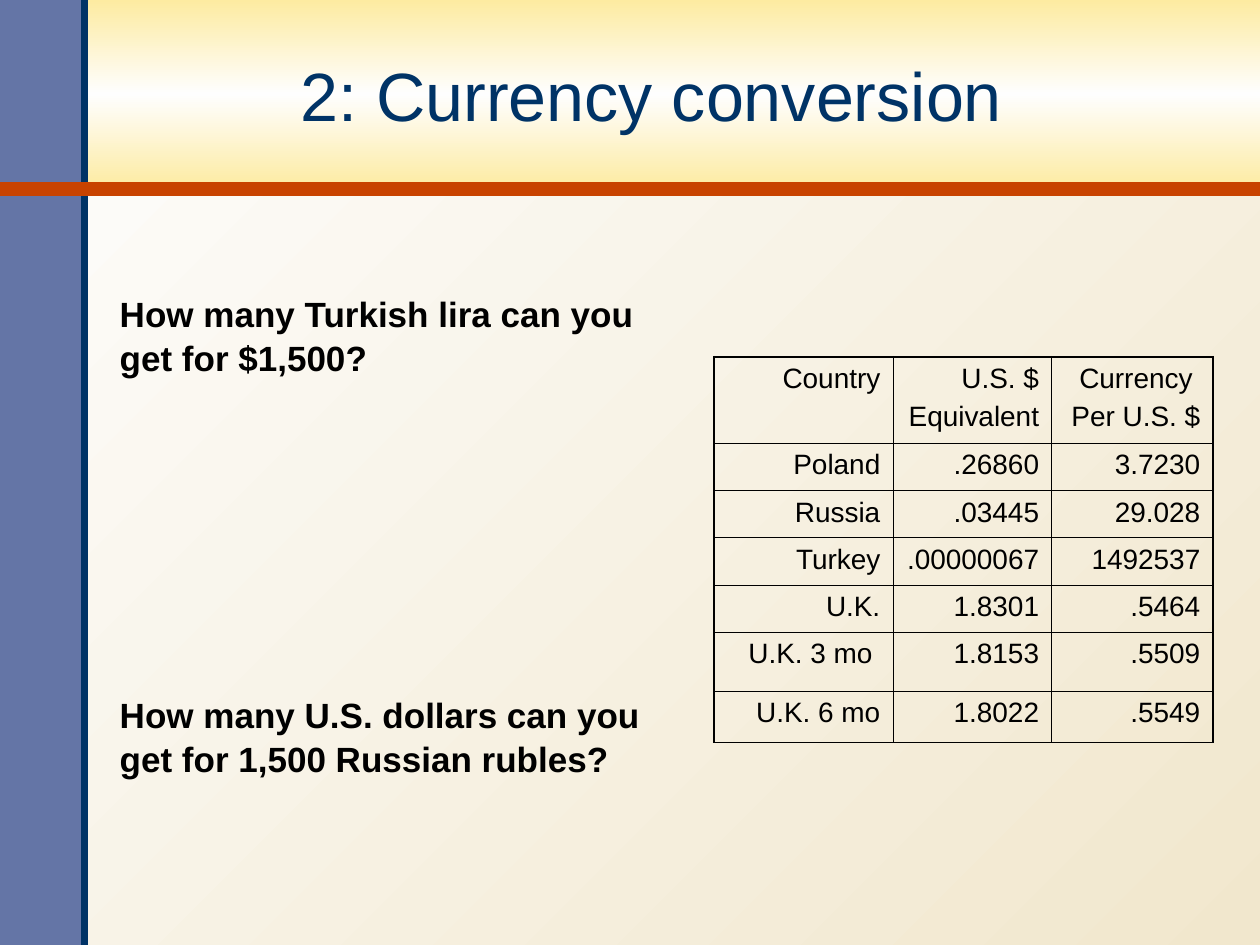
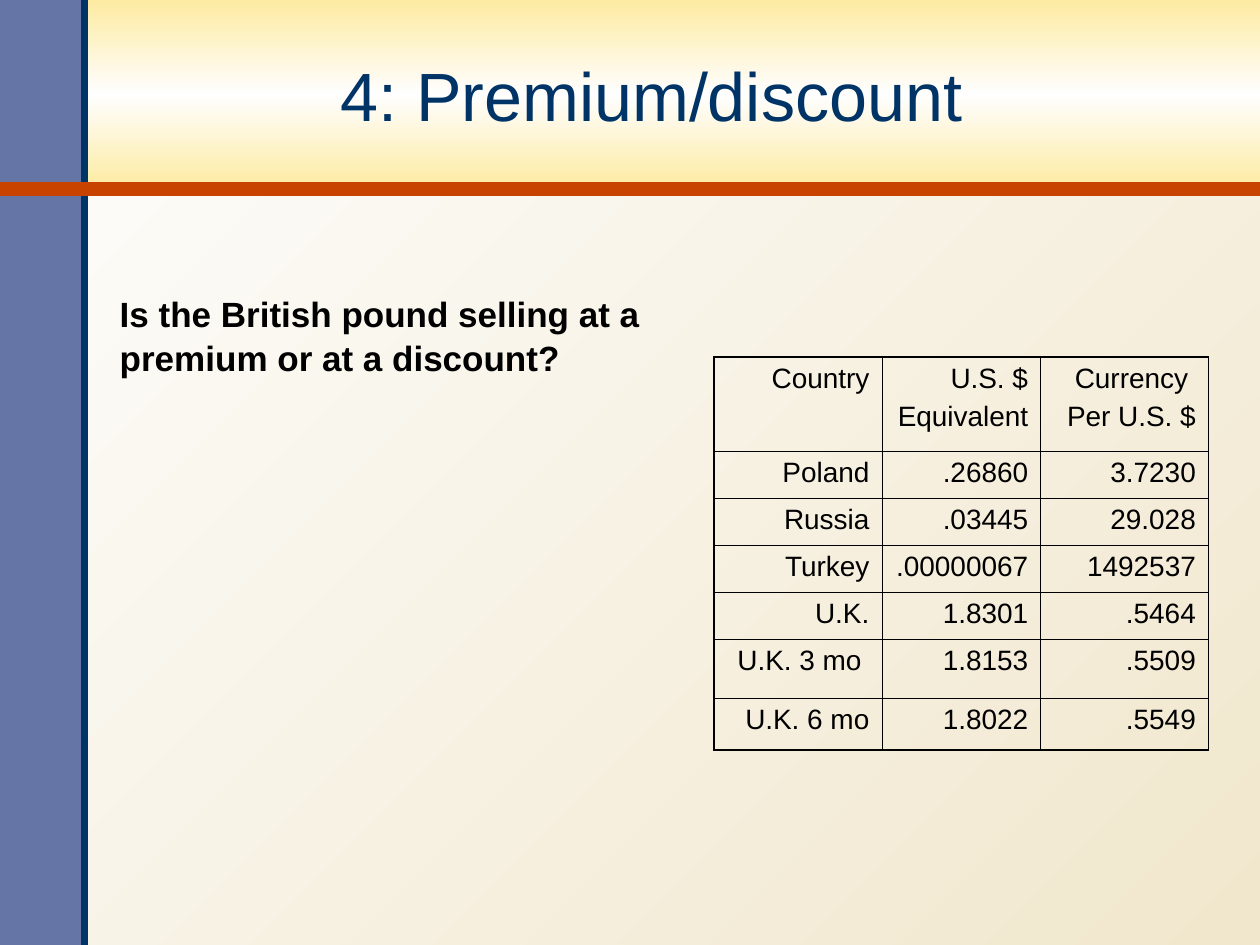
from dataclasses import dataclass
from typing import Any

from copy import deepcopy
from lxml.etree import SubElement
from pptx import Presentation
from pptx.dml.color import RGBColor
from pptx.enum.shapes import MSO_CONNECTOR, MSO_SHAPE
from pptx.enum.text import MSO_ANCHOR, MSO_AUTO_SIZE, PP_ALIGN
from pptx.oxml.ns import qn
from pptx.util import Cm, Pt


@dataclass(frozen=True)
class Theme:
    font: str = "Arial"
    title_size: float = 39
    question_size: float = 20
    table_size: float = 16
    navy: str = "003366"
    slate: str = "6475A6"
    rust: str = "C84300"
    black: str = "000000"
    background: tuple[str, ...] = ("F1E7CD", "FEFEFE")
    title_band: tuple[str, ...] = ("FDEBA1", "FEFEFE", "FDEBA1")
    outer_border: float = 1.08
    inner_border: float = 0.45


@dataclass(frozen=True)
class Rule:
    start: tuple[float, float]
    end: tuple[float, float]
    color: str
    weight: float


@dataclass(frozen=True)
class Question:
    text: str
    space_before: float = 0


@dataclass(frozen=True)
class CurrencySlide:
    title: str
    questions: tuple[Question, ...]
    column_widths: tuple[float, ...]
    header_height: float


THEME = Theme()
WIDTH, HEIGHT = 25.4, 19.05
BAND_HEIGHT, SIDEBAR_WIDTH = 3.81, 1.7

RULES = (
    Rule((SIDEBAR_WIDTH, HEIGHT), (SIDEBAR_WIDTH, 0), THEME.navy, 4),
    Rule((0, BAND_HEIGHT), (WIDTH, BAND_HEIGHT), THEME.rust, 8),
)

RATES = (
    ("Country", "U.S. $\nEquivalent", "Currency \nPer U.S. $"),
    ("Poland", ".26860", "3.7230"),
    ("Russia", ".03445", "29.028"),
    ("Turkey", ".00000067", "1492537"),
    ("U.K.", "1.8301", ".5464"),
    ("U.K. 3 mo ", "1.8153", ".5509"),
    ("U.K. 6 mo", "1.8022", ".5549"),
)
RATE_ROW_HEIGHTS = (0.95, 0.95, 0.95, 0.95, 1.19, 1.04)

SLIDES = (
    CurrencySlide(
        "2: Currency conversion",
        (
            Question("How many Turkish lira can you get for $1,500?"),
            Question("How many U.S. dollars can you get for 1,500 Russian rubles?", 179),
        ),
        (3.6, 3.2, 3.25),
        1.75,
    ),
    CurrencySlide(
        "4: Premium/discount",
        (Question("Is the British pound selling at a premium or at a discount?"),),
        (3.38, 3.2, 3.38),
        1.9,
    ),
)


def apply_format(target: Any, values: dict[str, Any]) -> None:
    for name, value in values.items():
        setattr(target, name, value)


def format_font(font: Any, size: float, color: str, bold: bool = False) -> None:
    apply_format(font, {"name": THEME.font, "size": Pt(size), "bold": bold})
    font.color.rgb = RGBColor.from_string(color)


def place(shape: Any, left: float, top: float, width: float, height: float) -> None:
    apply_format(shape, {"left": Cm(left), "top": Cm(top), "width": Cm(width), "height": Cm(height)})


def paint_gradient(fill: Any, element: Any, colors: tuple[str, ...], angle: float) -> None:
    fill.gradient()
    fill.gradient_angle = angle
    stop_list = next(element.iter(qn("a:gsLst")))
    while len(stop_list) < len(colors):
        stop_list.append(deepcopy(stop_list[0]))
    for index, (stop, color) in enumerate(zip(fill.gradient_stops, colors)):
        stop.position = index / (len(colors) - 1)
        stop.color.rgb = RGBColor.from_string(color)


def add_band(slide: Any, width: float, height: float) -> Any:
    band = slide.shapes.add_shape(MSO_SHAPE.RECTANGLE, 0, 0, Cm(width), Cm(height))
    band.shadow.inherit = False
    band.line.fill.background()
    return band


def add_rule(slide: Any, rule: Rule) -> Any:
    points = [Cm(length) for length in (*rule.start, *rule.end)]
    connector = slide.shapes.add_connector(MSO_CONNECTOR.STRAIGHT, *points)
    connector.line.color.rgb = RGBColor.from_string(rule.color)
    connector.line.width = Pt(rule.weight)
    SubElement(connector.element.spPr, qn("a:effectLst"))
    return connector


def decorate_master(master: Any, slide: Any) -> None:
    paint_gradient(master.background.fill, master.element, THEME.background, 135)
    title_band = add_band(slide, WIDTH, BAND_HEIGHT)
    paint_gradient(title_band.fill, title_band.element, THEME.title_band, 270)
    sidebar = add_band(slide, SIDEBAR_WIDTH, HEIGHT)
    sidebar.fill.solid()
    sidebar.fill.fore_color.rgb = RGBColor.from_string(THEME.slate)
    decorations = [title_band, sidebar, *(add_rule(slide, rule) for rule in RULES)]
    for position, shape in enumerate(decorations, start=2):
        master.shapes.element.insert(position, shape.element)


def write_title(slide: Any, text: str) -> None:
    title = slide.shapes.title
    place(title, 1.65, 0.38, 22.96, 3.05)
    apply_format(title.text_frame, {
        "text": text,
        "word_wrap": True,
        "auto_size": MSO_AUTO_SIZE.NONE,
        "vertical_anchor": MSO_ANCHOR.MIDDLE,
    })
    paragraph = title.text_frame.paragraphs[0]
    paragraph.alignment = PP_ALIGN.CENTER
    format_font(paragraph.font, THEME.title_size, THEME.navy)


def write_questions(slide: Any, questions: tuple[Question, ...]) -> None:
    body = slide.placeholders[1]
    place(body, 2.16, 4.6, 11.3, 13.18)
    apply_format(body.text_frame, {
        "text": "\n".join(question.text for question in questions),
        "word_wrap": True,
        "auto_size": MSO_AUTO_SIZE.NONE,
        "vertical_anchor": MSO_ANCHOR.TOP,
        "margin_top": Cm(1.27),
    })
    for paragraph, question in zip(body.text_frame.paragraphs, questions):
        properties = paragraph._p.get_or_add_pPr()
        for name in ("marL", "indent"):
            properties.set(name, "0")
        SubElement(properties, qn("a:buNone"))
        apply_format(paragraph, {
            "alignment": PP_ALIGN.LEFT,
            "line_spacing": 1.04,
            "space_before": Pt(question.space_before),
        })
        format_font(paragraph.font, THEME.question_size, THEME.black, bold=True)


def set_borders(cell: Any, outer_edges: dict[str, bool]) -> None:
    properties = cell._tc.get_or_add_tcPr()
    for edge, is_outer in outer_edges.items():
        weight = THEME.outer_border if is_outer else THEME.inner_border
        line = SubElement(properties, qn(f"a:{edge}"), w=str(Pt(weight)))
        fill = SubElement(line, qn("a:solidFill"))
        SubElement(fill, qn("a:srgbClr"), val=THEME.black)


def write_cell(cell: Any, text: str) -> None:
    cell.text = text
    cell.fill.background()
    for index, paragraph in enumerate(cell.text_frame.paragraphs):
        apply_format(paragraph, {
            "alignment": PP_ALIGN.RIGHT,
            "space_before": Pt(4 if index else 0),
        })
        format_font(paragraph.font, THEME.table_size, THEME.black)


def add_rate_table(slide: Any, column_widths: tuple[float, ...], header_height: float) -> None:
    row_heights = (header_height, *RATE_ROW_HEIGHTS)
    last_row, last_column = len(row_heights) - 1, len(column_widths) - 1
    table = slide.shapes.add_table(
        len(row_heights), len(column_widths), Cm(14.4), Cm(7.19),
        Cm(sum(column_widths)), Cm(sum(row_heights)),
    ).table
    apply_format(table, {"first_row": False, "horz_banding": False})
    for column, width in zip(table.columns, column_widths):
        column.width = Cm(width)
    for row, height in zip(table.rows, row_heights):
        row.height = Cm(height)
    for row_index, rates in enumerate(RATES):
        for column_index, text in enumerate(rates):
            cell = table.cell(row_index, column_index)
            set_borders(cell, {
                "lnL": column_index == 0,
                "lnR": column_index == last_column,
                "lnT": row_index == 0,
                "lnB": row_index == last_row,
            })
            write_cell(cell, text)


def main() -> None:
    presentation = Presentation()
    presentation.slide_width, presentation.slide_height = Cm(WIDTH), Cm(HEIGHT)
    layout = presentation.slide_layouts.get_by_name("Title and Content")
    slides = [presentation.slides.add_slide(layout) for _ in SLIDES]
    decorate_master(presentation.slide_master, slides[0])
    for slide, content in zip(slides, SLIDES):
        write_title(slide, content.title)
        write_questions(slide, content.questions)
        add_rate_table(slide, content.column_widths, content.header_height)
    presentation.save("out.pptx")


if __name__ == "__main__":
    main()
